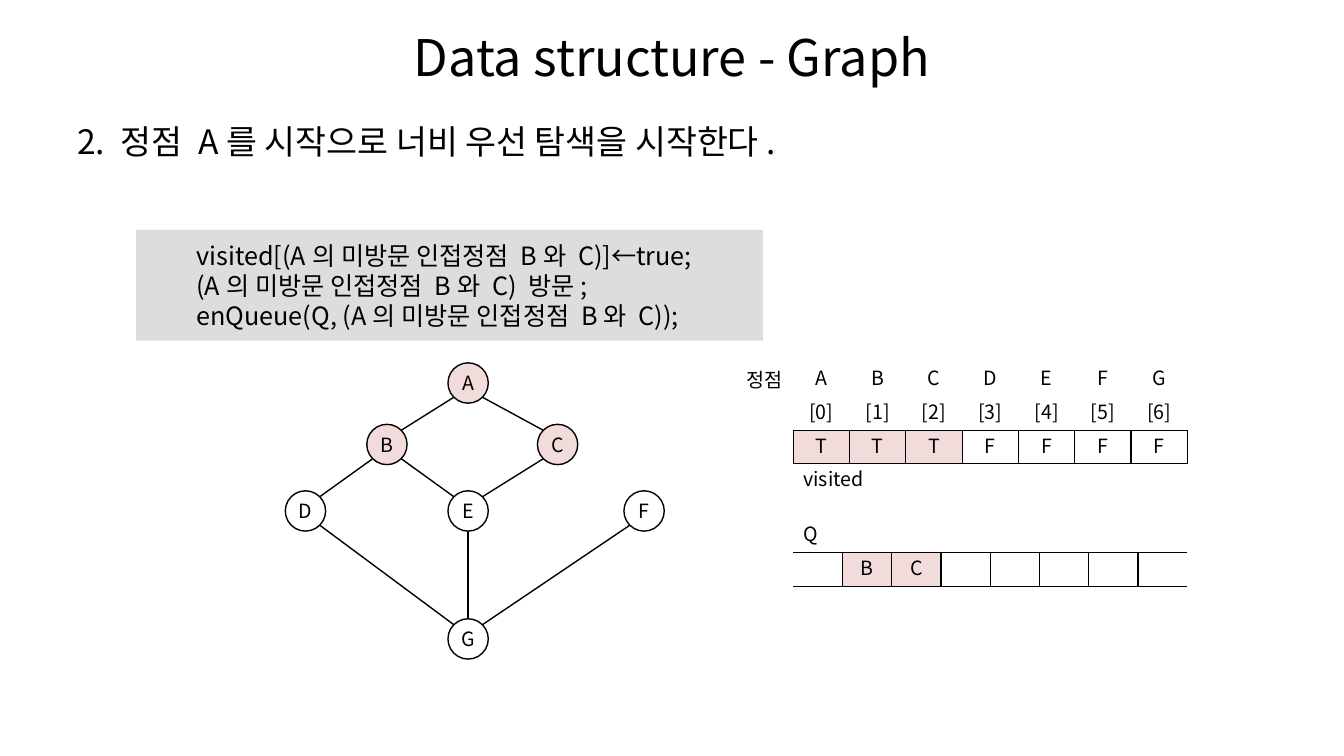
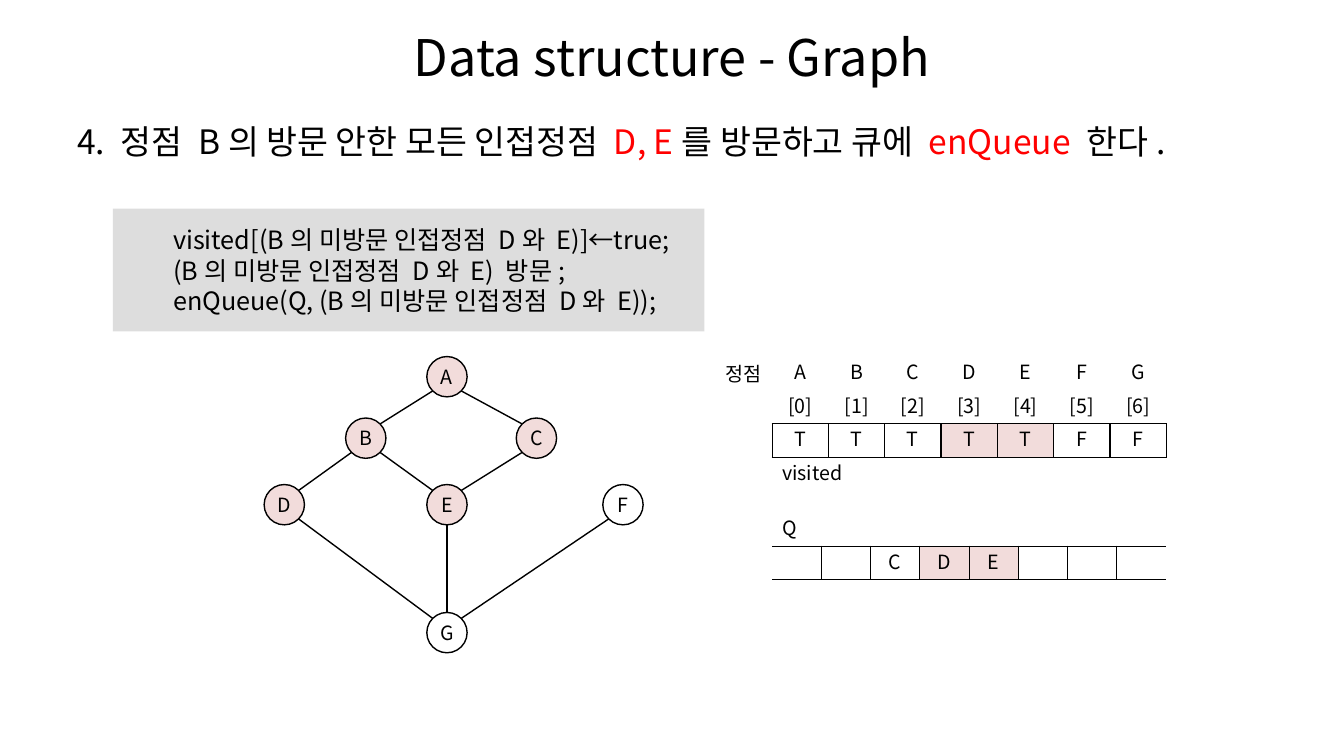
from dataclasses import dataclass
from typing import NamedTuple

import pptx
import pptx.dml.color
import pptx.enum.shapes
import pptx.enum.text
import pptx.oxml.ns
import pptx.presentation
import pptx.slide
import pptx.table
import pptx.text.text
import pptx.util
from lxml import etree

Pt = pptx.util.Pt
RGB = pptx.dml.color.RGBColor
Align = pptx.enum.text.PP_ALIGN
Anchor = pptx.enum.text.MSO_ANCHOR
Shape = pptx.enum.shapes.MSO_SHAPE
qn = pptx.oxml.ns.qn


@dataclass(frozen=True)
class Theme:
    font: str = "Noto Sans CJK KR"
    ink: RGB = RGB(0, 0, 0)
    accent: RGB = RGB(255, 0, 0)
    paper: RGB = RGB(255, 255, 255)
    marked: RGB = RGB(0xF2, 0xDC, 0xDB)
    code_band: RGB = RGB(0xDD, 0xDD, 0xDD)
    title_size: float = 36
    heading_size: float = 24
    code_size: float = 18
    label_size: float = 14
    leading: float = 1.2
    line_width: float = 1


class Box(NamedTuple):
    left: float
    top: float
    width: float
    height: float

    def shifted(self, dx: float, dy: float) -> "Box":
        return Box(self.left + dx, self.top + dy, self.width, self.height)

    def in_points(self) -> list[int]:
        return [Pt(length) for length in self]


class Phrase(NamedTuple):
    text: str
    stressed: bool = False


class TableRow(NamedTuple):
    texts: list[str]
    marks: list[bool]
    borders: list[str]
    align: Align = Align.CENTER
    merged: bool = False


@dataclass(frozen=True)
class SearchStep:
    heading: list[Phrase]
    vertex: str
    neighbours: str
    visited: str
    fresh: str
    queue: str
    queue_front: int
    code_box: Box
    shift: tuple[float, float] = (0, 0)


THEME = Theme()
TITLE = "Data structure - Graph"
TITLE_BOX = Box(48, 9.4, 864, 61.2)
HEADING_BOX = Box(48, 82.8, 864, 408)
VERTEX_LABEL_BOX = Box(526.3, 259.2, 46, 24)
VISITED_ORIGIN = (566.6, 259.2)
QUEUE_ORIGIN = (566.6, 370.6)
TABLE_WIDTH = 281.6
ROW_HEIGHT = 24
QUEUE_SLOTS = 8
CODE_INDENT = 36
NODE_SIZE = 28.8
DIAGONAL = 0.15
NODES = {
    "A": (320, 259.2),
    "B": (262, 303.1),
    "C": (383.9, 303.1),
    "D": (203.8, 350.6),
    "E": (320, 350.6),
    "F": (445.7, 350.6),
    "G": (320, 442),
}
EDGES = ["AB", "AC", "BD", "BE", "CE", "DG", "EG", "FG"]

STEPS = [
    SearchStep(
        heading=[Phrase("2. 정점 A를 시작으로 너비 우선 탐색을 시작한다.")],
        vertex="A", neighbours="BC", visited="ABC", fresh="ABC",
        queue="BC", queue_front=1,
        code_box=Box(97.2, 164.2, 447.8, 79.2),
    ),
    SearchStep(
        heading=[
            Phrase("4. 정점 B의 방문 안한 모든 인접정점 "),
            Phrase("D, E", True),
            Phrase("를 방문하고 큐에 "),
            Phrase("enQueue ", True),
            Phrase("한다."),
        ],
        vertex="B", neighbours="DE", visited="ABCDE", fresh="DE",
        queue="CDE", queue_front=2,
        code_box=Box(80.6, 149, 422.6, 87.8),
        shift=(-15.1, -4.5),
    ),
]


def write(paragraph: pptx.text.text._Paragraph, phrases: list[Phrase], size: float,
          align: Align = Align.LEFT, tight: bool = True) -> None:
    for phrase in phrases:
        run = paragraph.add_run()
        run.text = phrase.text
        if phrase.stressed:
            run.font.color.rgb = THEME.accent
    paragraph.alignment = align
    if tight:
        paragraph.line_spacing = Pt(size * THEME.leading)
    paragraph.font.size = Pt(size)
    paragraph.font.color.rgb = THEME.ink
    paragraph.font.name = THEME.font
    defaults = paragraph._p.find(f"{qn('a:pPr')}/{qn('a:defRPr')}")
    etree.SubElement(defaults, qn("a:ea")).set("typeface", THEME.font)


def add_text(slide: pptx.slide.Slide, box: Box, phrases: list[Phrase], size: float,
             align: Align = Align.LEFT, anchor: Anchor = Anchor.TOP,
             tight: bool = True) -> None:
    frame = slide.shapes.add_textbox(*box.in_points()).text_frame
    frame.word_wrap = True
    frame.vertical_anchor = anchor
    write(frame.paragraphs[0], phrases, size, align, tight)


def add_code(slide: pptx.slide.Slide, step: SearchStep) -> None:
    band = slide.shapes.add_shape(Shape.RECTANGLE, *step.code_box.in_points())
    band.shadow.inherit = False
    band.fill.solid()
    band.fill.fore_color.rgb = THEME.code_band
    band.line.fill.background()
    frame = band.text_frame
    frame.word_wrap = True
    frame.vertical_anchor = Anchor.MIDDLE
    first, second = step.neighbours
    targets = f"({step.vertex}의 미방문 인접정점 {first}와 {second})"
    statements = [f"visited[{targets}]←true;", f"{targets} 방문;", f"enQueue(Q, {targets});"]
    for index, statement in enumerate(statements):
        paragraph = frame.add_paragraph() if index else frame.paragraphs[0]
        write(paragraph, [Phrase(statement)], THEME.code_size)
        paragraph._p.get_or_add_pPr().set("marL", str(int(Pt(CODE_INDENT))))


def edge_end(node: str, other: str, shift: tuple[float, float]) -> list[int]:
    (x, y), (other_x, other_y) = NODES[node], NODES[other]
    inset = 0 if x == other_x else DIAGONAL
    across = 0.5 if x == other_x else 1 - inset if other_x > x else inset
    down = 1 - inset if other_y > y else inset
    return [Pt(x + shift[0] + across * NODE_SIZE), Pt(y + shift[1] + down * NODE_SIZE)]


def add_graph(slide: pptx.slide.Slide, step: SearchStep) -> None:
    for start, end in EDGES:
        edge = slide.shapes.add_connector(
            pptx.enum.shapes.MSO_CONNECTOR.STRAIGHT,
            *edge_end(start, end, step.shift), *edge_end(end, start, step.shift))
        edge.line.color.rgb = THEME.ink
        edge.line.width = Pt(THEME.line_width)
        etree.SubElement(edge._element.spPr, qn("a:effectLst"))
    for name, (x, y) in NODES.items():
        box = Box(x, y, NODE_SIZE, NODE_SIZE).shifted(*step.shift)
        node = slide.shapes.add_shape(Shape.OVAL, *box.in_points())
        node.shadow.inherit = False
        node.fill.solid()
        node.fill.fore_color.rgb = THEME.marked if name in step.visited else THEME.paper
        node.line.color.rgb = THEME.ink
        node.line.width = Pt(THEME.line_width)
        frame = node.text_frame
        frame.margin_left = frame.margin_right = frame.margin_top = frame.margin_bottom = 0
        frame.word_wrap = False
        frame.vertical_anchor = Anchor.MIDDLE
        write(frame.paragraphs[0], [Phrase(name)], THEME.label_size, Align.CENTER, tight=False)


def set_borders(cell: pptx.table._Cell, sides: str) -> None:
    properties = cell._tc.get_or_add_tcPr()
    for side in "LRTB":
        border = etree.SubElement(properties, qn(f"a:ln{side}"))
        if side in sides:
            border.set("w", str(int(Pt(THEME.line_width))))
            fill = etree.SubElement(border, qn("a:solidFill"))
            etree.SubElement(fill, qn("a:srgbClr")).set("val", str(THEME.ink))
        else:
            etree.SubElement(border, qn("a:noFill"))


def add_table(slide: pptx.slide.Slide, origin: tuple[float, float],
              shift: tuple[float, float], rows: list[TableRow]) -> None:
    columns = len(rows[0].borders)
    box = Box(*origin, TABLE_WIDTH, ROW_HEIGHT * len(rows)).shifted(*shift)
    table = slide.shapes.add_table(len(rows), columns, *box.in_points()).table
    table.first_row = False
    table.horz_banding = False
    for column in table.columns:
        column.width = Pt(TABLE_WIDTH / columns)
    for index, row in enumerate(rows):
        table.rows[index].height = Pt(ROW_HEIGHT)
        for position, (text, mark, sides) in enumerate(zip(row.texts, row.marks, row.borders)):
            cell = table.cell(index, position)
            set_borders(cell, sides)
            cell.fill.solid()
            cell.fill.fore_color.rgb = THEME.marked if mark else THEME.paper
            cell.vertical_anchor = Anchor.MIDDLE
            phrases = [Phrase(text)] if text else []
            write(cell.text_frame.paragraphs[0], phrases, THEME.label_size, row.align)
        if row.merged:
            table.cell(index, 0).merge(table.cell(index, columns - 1))


def caption_row(caption: str, columns: int, border: str) -> TableRow:
    texts = [caption] + [""] * (columns - 1)
    return TableRow(texts, [False] * columns, [border] * columns, Align.LEFT, True)


def add_visited(slide: pptx.slide.Slide, step: SearchStep) -> None:
    count = len(NODES)
    plain = [False] * count
    flags = ["T" if name in step.visited else "F" for name in NODES]
    add_table(slide, VISITED_ORIGIN, step.shift, [
        TableRow(list(NODES), plain, [""] * count),
        TableRow([f"[{index}]" for index in range(count)], plain, ["B"] * count),
        TableRow(flags, [name in step.fresh for name in NODES], ["LRTB"] * count),
        caption_row("visited", count, "T"),
    ])


def add_queue(slide: pptx.slide.Slide, step: SearchStep) -> None:
    slots = [""] * step.queue_front + list(step.queue)
    slots += [""] * (QUEUE_SLOTS - len(slots))
    marks = [bool(name) and name in step.fresh for name in slots]
    borders = ["RTB"] + ["LRTB"] * (QUEUE_SLOTS - 2) + ["LTB"]
    add_table(slide, QUEUE_ORIGIN, step.shift, [
        caption_row("Q", QUEUE_SLOTS, "B"),
        TableRow(slots, marks, borders),
    ])


def add_step(deck: pptx.presentation.Presentation, step: SearchStep) -> None:
    slide = deck.slides.add_slide(deck.slide_layouts[6])
    add_text(slide, TITLE_BOX, [Phrase(TITLE)], THEME.title_size,
             Align.CENTER, Anchor.MIDDLE, tight=False)
    add_text(slide, HEADING_BOX, step.heading, THEME.heading_size)
    add_graph(slide, step)
    add_text(slide, VERTEX_LABEL_BOX.shifted(*step.shift), [Phrase("정점")], THEME.label_size)
    add_visited(slide, step)
    add_queue(slide, step)
    add_code(slide, step)


def main() -> None:
    deck = pptx.Presentation()
    deck.slide_width, deck.slide_height = Pt(960), Pt(540)
    for step in STEPS:
        add_step(deck, step)
    deck.save("out.pptx")


if __name__ == "__main__":
    main()
